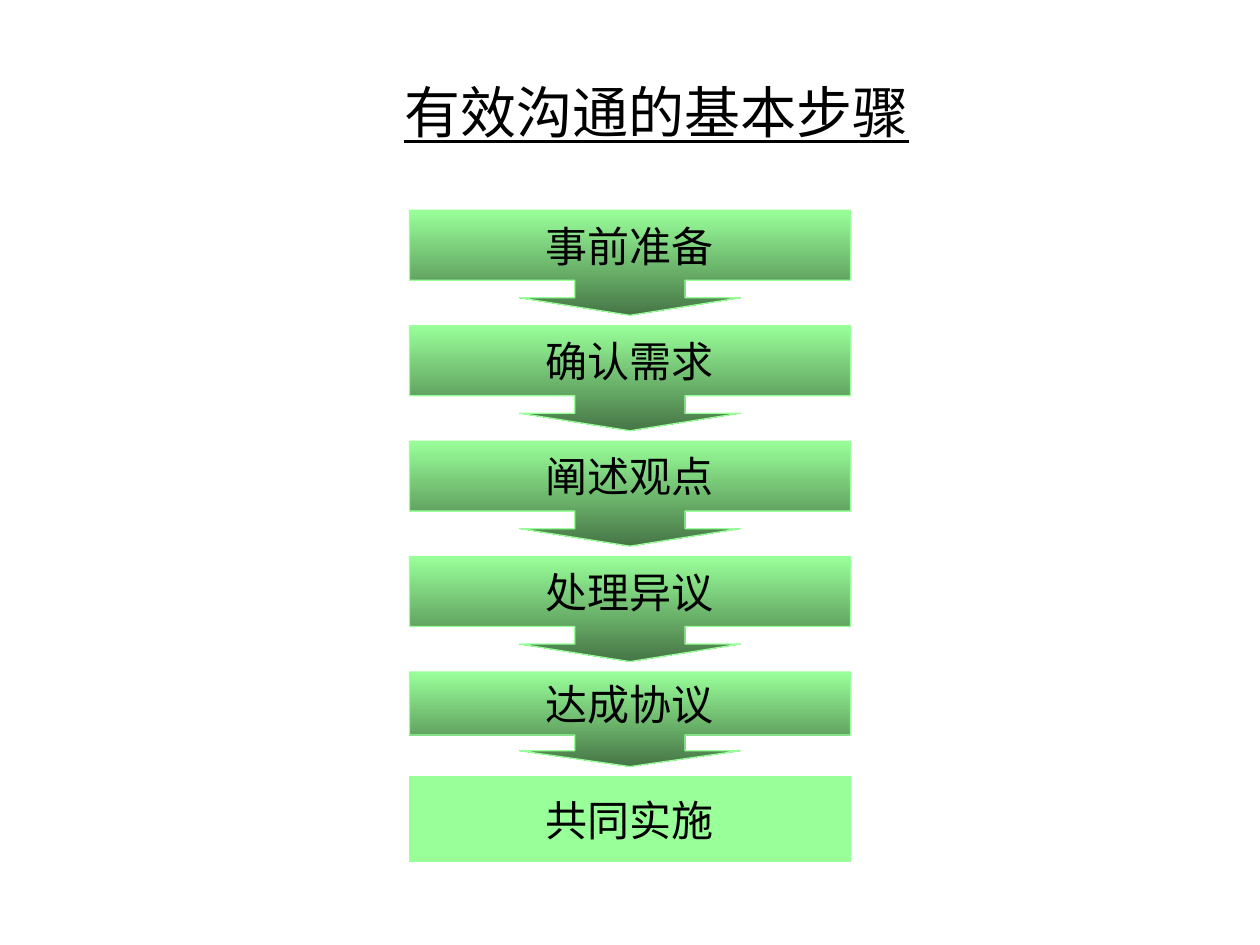
from dataclasses import dataclass

from pptx import Presentation
from pptx.dml.color import RGBColor
from pptx.enum import shapes, text
from pptx.slide import Slide
from pptx.text.text import TextFrame
from pptx.util import Inches, Pt

BLACK = RGBColor(0x00, 0x00, 0x00)
LIGHT_GREEN = RGBColor(0x99, 0xFF, 0x99)
DARK_GREEN = RGBColor(0x46, 0x75, 0x46)
FONT = "Times New Roman"

STEP_LEFT = 3.25
STEP_WIDTH = 3.5
FIRST_TOP = 1.67
GAP = 0.083


@dataclass(frozen=True)
class Step:
    label: str
    height: float
    leads_on: bool = True


STEPS = [
    Step("事前准备", 0.833),
    Step("确认需求", 0.833),
    Step("阐述观点", 0.833),
    Step("处理异议", 0.833),
    Step("达成协议", 0.75),
    Step("共同实施", 0.67, leads_on=False),
]


def write_centred(frame: TextFrame, wording: str, size: int) -> None:
    frame.text = wording
    frame.vertical_anchor = text.MSO_ANCHOR.MIDDLE
    paragraph = frame.paragraphs[0]
    paragraph.alignment = text.PP_ALIGN.CENTER
    font = paragraph.runs[0].font
    font.name = FONT
    font.size = Pt(size)
    font.color.rgb = BLACK


def add_title(slide: Slide, wording: str) -> None:
    title = slide.shapes.title
    title.left, title.top = Inches(1.25), Inches(0.17)
    title.width, title.height = Inches(7.92), Inches(1.42)
    write_centred(title.text_frame, wording, 32)
    title.text_frame.paragraphs[0].runs[0].font.underline = True


def add_step(slide: Slide, step: Step, top: float) -> None:
    """Draw a callout pointing to the next step, or a plain box for the last."""
    preset = (shapes.MSO_SHAPE.DOWN_ARROW_CALLOUT if step.leads_on
              else shapes.MSO_SHAPE.RECTANGLE)
    box = slide.shapes.add_shape(preset, Inches(STEP_LEFT), Inches(top),
                                 Inches(STEP_WIDTH), Inches(step.height))
    box.shadow.inherit = False
    box.line.color.rgb = LIGHT_GREEN
    box.line.width = Pt(0.75)
    if step.leads_on:
        # The shaft takes a quarter of the width, the arrowhead half of it.
        shaft = STEP_WIDTH / 4 / step.height
        for index, value in enumerate((shaft, shaft, 1 / 6, 2 / 3)):
            box.adjustments[index] = value
        box.fill.gradient()
        box.fill.gradient_angle = 270
        for stop, color in zip(box.fill.gradient_stops, (LIGHT_GREEN, DARK_GREEN)):
            stop.color.rgb = color
    else:
        box.fill.solid()
        box.fill.fore_color.rgb = LIGHT_GREEN
    write_centred(box.text_frame, step.label, 24)
    box.text_frame.word_wrap = False


def main() -> None:
    deck = Presentation()
    deck.slide_width, deck.slide_height = Inches(10), Inches(7.5)
    slide = deck.slides.add_slide(deck.slide_layouts[5])
    add_title(slide, "有效沟通的基本步骤")
    top = FIRST_TOP
    for step in STEPS:
        add_step(slide, step, top)
        top += step.height + GAP
    deck.save("out.pptx")


if __name__ == "__main__":
    main()
